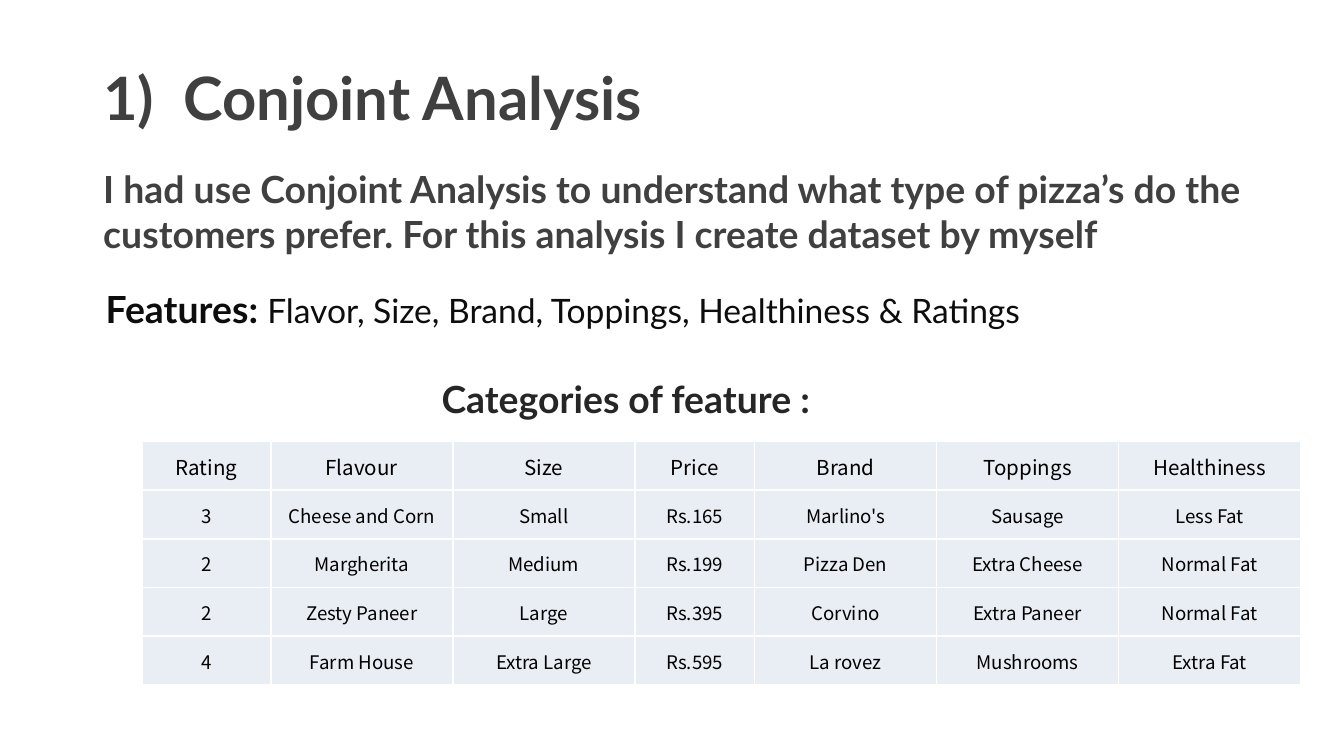
from lxml import etree
from pptx import Presentation
from pptx import util as u
from pptx.dml.color import RGBColor
from pptx.enum import text
from pptx.oxml import ns

WIDE = 10
HIGH = WIDE * 9 / 16
HUES = {"head": "404040", "list": "0D0D0D", "label": "262626",
        "cell": "000000", "pale": "E9EDF4", "edge": "FFFFFF"}
COLS = [9.55, 13.55, 13.55, 8.9, 13.55, 13.55, 13.55]
ROW = 6.44
DATA = [
    ["Rating", "Flavour", "Size", "Price", "Brand", "Toppings", "Healthiness"],
    ["3", "Cheese and Corn", "Small", "Rs.165", "Marlino's", "Sausage", "Less Fat"],
    ["2", "Margherita", "Medium", "Rs.199", "Pizza Den", "Extra Cheese", "Normal Fat"],
    ["2", "Zesty Paneer", "Large", "Rs.395", "Corvino", "Extra Paneer", "Normal Fat"],
    ["4", "Farm House", "Extra Large", "Rs.595", "La rovez", "Mushrooms", "Extra Fat"],
]


def across(share):
    return u.Inches(WIDE * share / 100)


def down(share):
    return u.Inches(HIGH * share / 100)


def add_run(para, words, size, hue, bold=False, face="Lato"):
    run = para.add_run()
    run.text = words
    font = run.font
    font.name, font.size, font.bold = face, u.Pt(size), bold
    font.color.rgb = RGBColor.from_string(HUES[hue])


def add_box(slide, left, top, width, height, anchor, inset=0.1):
    box = slide.shapes.add_textbox(across(left), down(top), across(width), down(height))
    frame = box.text_frame
    frame.word_wrap = True
    frame.vertical_anchor = anchor
    frame.margin_left = u.Inches(inset)
    return frame


def add_edges(cell):
    props = cell._tc.get_or_add_tcPr()
    for spot, side in enumerate(("a:lnL", "a:lnR", "a:lnT", "a:lnB")):
        line = etree.Element(ns.qn(side), w=str(u.Pt(1)))
        fill = etree.SubElement(line, ns.qn("a:solidFill"))
        etree.SubElement(fill, ns.qn("a:srgbClr"), val=HUES["edge"])
        props.insert(spot, line)


def fill_cell(cell, words, size):
    cell.fill.solid()
    cell.fill.fore_color.rgb = RGBColor.from_string(HUES["pale"])
    cell.margin_left = cell.margin_right = cell.margin_top = u.Inches(0.01)
    cell.margin_bottom = 0
    cell.vertical_anchor = text.MSO_ANCHOR.MIDDLE
    para = cell.text_frame.paragraphs[0]
    para.alignment = text.PP_ALIGN.CENTER
    add_run(para, words, size, "cell", face="Noto Sans CJK KR")
    add_edges(cell)


def add_grid(slide, left, top):
    frame = slide.shapes.add_table(len(DATA), len(COLS), across(left), down(top),
                                   across(sum(COLS)), down(ROW * len(DATA)))
    table = frame.table
    table.first_row = table.horz_banding = False
    for col, share in zip(table.columns, COLS):
        col.width = across(share)
    for i, (row, line) in enumerate(zip(table.rows, DATA)):
        row.height = down(ROW)
        for cell, words in zip(row.cells, line):
            fill_cell(cell, words, 10 if i else 11)


def main():
    deck = Presentation()
    deck.slide_width, deck.slide_height = u.Inches(WIDE), u.Inches(HIGH)
    slide = deck.slides.add_slide(deck.slide_layouts[6])
    middle = text.MSO_ANCHOR.MIDDLE

    intro = add_box(slide, 6.7, 20.65, 90.3, 14.6, middle)
    add_run(intro.paragraphs[0], "I had use Conjoint Analysis to understand what type of "
            "pizza’s do the customers prefer. For this analysis I create dataset by myself",
            20, "head", True)

    body = add_box(slide, 3.55, 37, 92.9, 58.3, text.MSO_ANCHOR.TOP, 0.43)
    para = body.paragraphs[0]
    add_run(para, "Features: ", 20, "list", True)
    add_run(para, "Flavor, Size, Brand, Toppings, Healthiness & Ratings", 18, "list")
    label = body.add_paragraph()
    label.space_before = u.Pt(24)
    label._p.get_or_add_pPr().set("marL", str(across(25)))
    add_run(label, "Categories of feature :", 20, "label", True)

    title = add_box(slide, 6.7, 6.25, 97.4, 13, middle)
    add_run(title.paragraphs[0], "1)  Conjoint Analysis", 32, "head", True)

    add_grid(slide, 10.6, 58.4)
    deck.save("out.pptx")


if __name__ == "__main__":
    main()
